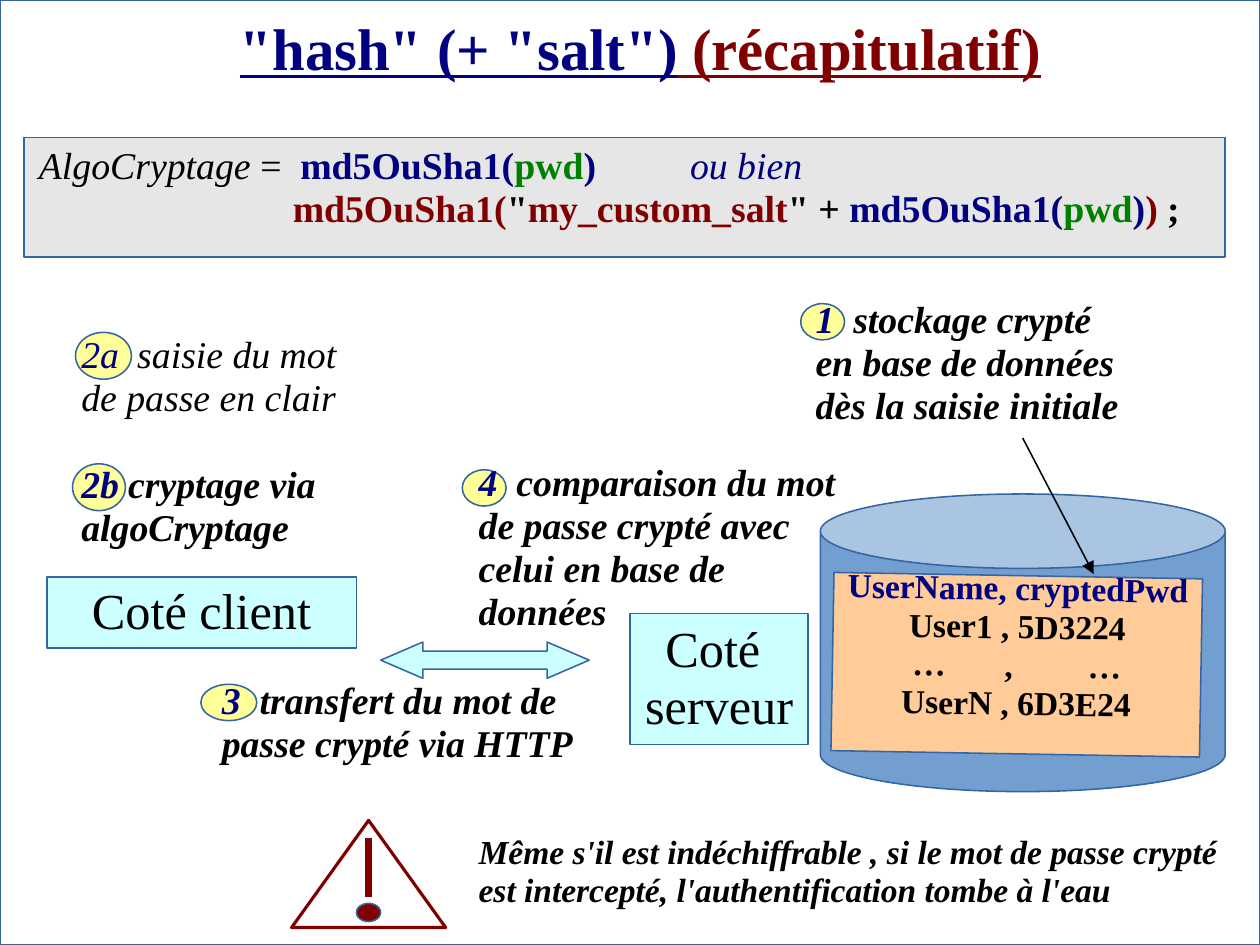
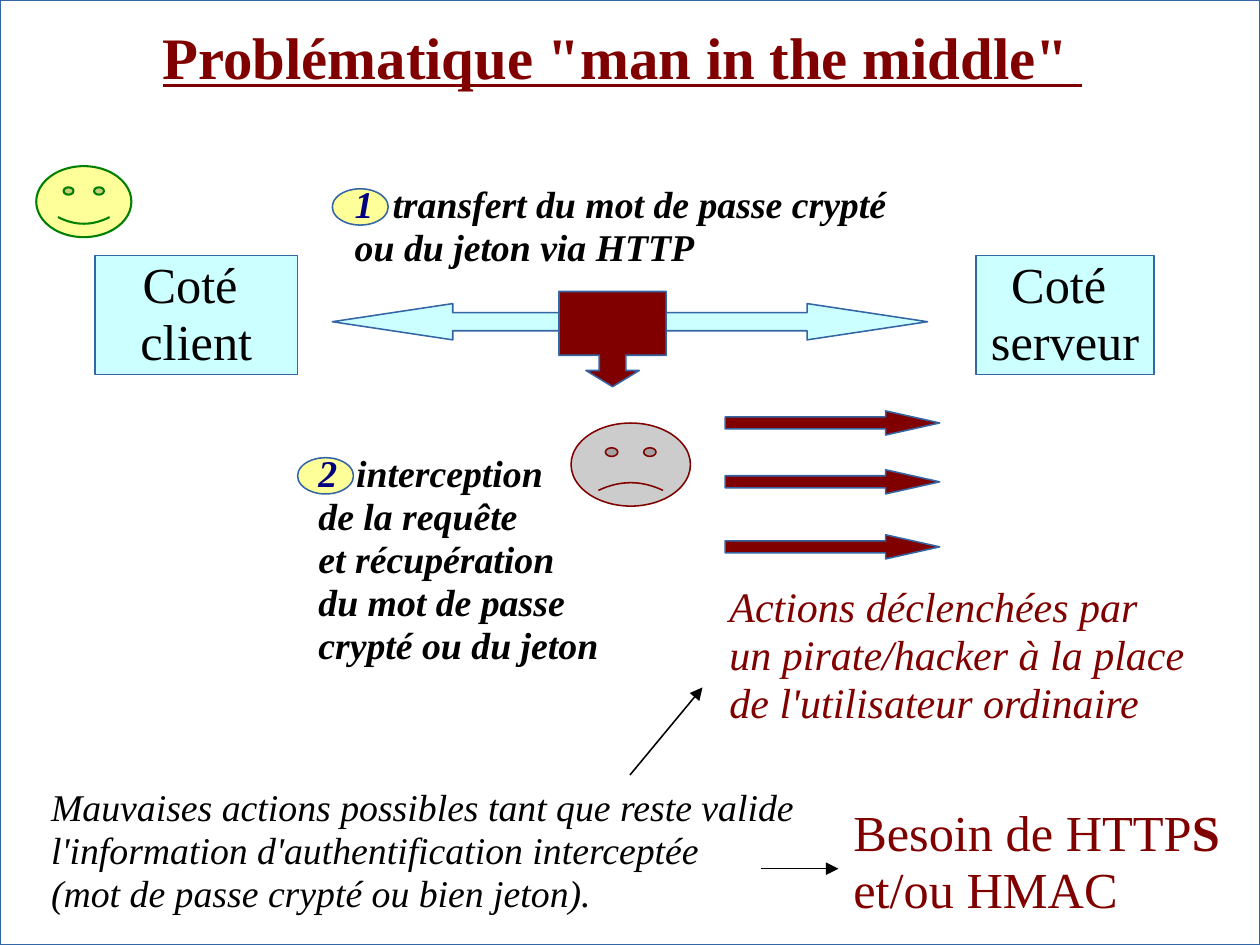
from lxml.etree import SubElement
from pptx import Presentation
from pptx.dml.color import RGBColor
from pptx.enum.shapes import MSO_CONNECTOR, MSO_SHAPE
from pptx.enum.text import MSO_ANCHOR, PP_ALIGN
from pptx.oxml.ns import qn
from pptx.util import Inches, Pt

# Shared look
FONT = "Times New Roman"
BLACK, NAVY, MAROON, GREEN = "000000", "000080", "800000", "008000"
OUTLINE, YELLOW, CYAN = "3465A4", "FFFF99", "CCFFFF"
WIDTH = 8.34
HEIGHT = WIDTH * 3 / 4


def add_figure(slide, preset, box, fill=None, line=OUTLINE, weight=0.75, adjustments=()):
    """Add a preset shape; box is left, top, width, height in inches."""
    shape = slide.shapes.add_shape(preset, *map(Inches, box))
    shape.shadow.inherit = False
    if fill:
        shape.fill.solid()
        shape.fill.fore_color.rgb = RGBColor.from_string(fill)
    else:
        shape.fill.background()
    shape.line.color.rgb = RGBColor.from_string(line)
    shape.line.width = Pt(weight)
    for index, value in enumerate(adjustments):
        shape.adjustments[index] = value
    return shape


def write_text(shape, lines, size=18, color=BLACK, bold=False, italic=False,
               underline=False, align=PP_ALIGN.LEFT, tabs=(), wrap=True):
    """Write one paragraph per line; a line is a string or a list of
    runs, and a run is a string or a pair of text and format changes."""
    frame = shape.text_frame
    frame.word_wrap = wrap
    for index, line in enumerate(lines):
        paragraph = frame.add_paragraph() if index else frame.paragraphs[0]
        paragraph.alignment = align
        paragraph.line_spacing = 0.95
        if tabs:
            tab_list = SubElement(paragraph._p.get_or_add_pPr(), qn("a:tabLst"))
            for position in tabs:
                SubElement(tab_list, qn("a:tab"), pos=str(Inches(position)), algn="l")
        for part in [line] if isinstance(line, str) else line:
            text, changes = (part, {}) if isinstance(part, str) else part
            run = paragraph.add_run()
            run.text = text
            run.font.name = FONT
            run.font.size = Pt(size)
            run.font.bold = changes.get("bold", bold)
            run.font.italic = changes.get("italic", italic)
            run.font.underline = underline
            run.font.color.rgb = RGBColor.from_string(changes.get("color", color))
    return frame


presentation = Presentation()
presentation.slide_width = Inches(WIDTH)
presentation.slide_height = Inches(HEIGHT)
blank_layout = presentation.slide_layouts[6]
hash_slide = presentation.slides.add_slide(blank_layout)
middle_slide = presentation.slides.add_slide(blank_layout)

# Titles
for slide, box, title in [
    (hash_slide, (1.49, 0.06, 5.8, 0.57),
     ['"hash" (+ "salt")', (" (récapitulatif)", {"color": MAROON})]),
    (middle_slide, (0.98, 0.12, 6.85, 0.57),
     [('Problématique "man in the middle" ', {"color": MAROON})]),
]:
    shape = slide.shapes.add_textbox(*map(Inches, box))
    write_text(shape, [title], size=28, color=NAVY, bold=True, underline=True)

# Database with its list of users
add_figure(hash_slide, MSO_SHAPE.CAN, (5.43, 3.27, 2.68, 1.97), "729FCF")
users = add_figure(hash_slide, MSO_SHAPE.RECTANGLE, (5.51, 3.81, 2.44, 1.18), "FFCC99")
users.rotation = 1
frame = write_text(
    users,
    [[("UserName, cryptedPwd", {"color": NAVY})], "User1 , 5D3224",
     "\t…\t,\t…", "UserN , 6D3E24"],
    size=16, bold=True, align=PP_ALIGN.CENTER, tabs=(0.48, 1.09, 1.64))
frame.paragraphs[2].alignment = PP_ALIGN.LEFT
frame.vertical_anchor = MSO_ANCHOR.MIDDLE
frame.margin_left = frame.margin_right = Inches(0.05)
frame.margin_top = 0
frame.margin_bottom = Inches(0.24)

# Hash formula
add_figure(hash_slide, MSO_SHAPE.RECTANGLE, (0.16, 0.91, 7.95, 0.79), "E6E6E6")
formula = hash_slide.shapes.add_textbox(Inches(0.16), Inches(0.91), Inches(8.03), Inches(0.68))
navy, maroon, green = {"color": NAVY}, {"color": MAROON}, {"color": GREEN}
frame = write_text(
    formula,
    [[("AlgoCryptage", {"bold": False, "italic": True}), (" =\t", {"bold": False}),
      ("md5OuSha1(", navy), ("pwd", green), (")\t", navy),
      ("ou bien", {"color": NAVY, "bold": False, "italic": True})],
     [("md5OuSha1(", maroon), '"', ("my_custom_salt", maroon), '" + ',
      ("md5OuSha1(", navy), ("pwd", green), (")", navy), (")", maroon), " ;"]],
    bold=True, tabs=(1.73, 4.31))
second_line = frame.paragraphs[1]._p.get_or_add_pPr()
second_line.set("marL", str(Inches(1.68)))
second_line.set("indent", "0")

# Numbered steps: badge, text box, number, gap to the text, bold, lines
for slide, badge, box, number, tab, bold, lines in [
    (hash_slide, (5.3, 2.01, 0.29, 0.24), (5.3, 1.93, 2.5, 0.97), "1", 0.25, True,
     ["stockage crypté", "en base de données", "dès la saisie initiale"]),
    (hash_slide, (0.5, 2.2, 0.37, 0.31), (0.44, 2.16, 2.2, 0.68), "2a", 0.37, False,
     ["saisie du mot", "de passe en clair"]),
    (hash_slide, (0.48, 3.07, 0.35, 0.31), (0.44, 3.02, 2.2, 0.68), "2b", 0.31, True,
     ["cryptage via", "algoCryptage"]),
    (hash_slide, (1.33, 4.53, 0.37, 0.24), (1.37, 4.45, 2.75, 0.68), "3", 0.25, True,
     ["transfert du mot de", "passe crypté via HTTP"]),
    (hash_slide, (3.06, 3.11, 0.29, 0.24), (3.07, 3.01, 2.75, 1.25), "4", 0.25, True,
     ["comparaison du mot", "de passe crypté avec", "celui en base de", "données"]),
    (middle_slide, (2.2, 1.25, 0.37, 0.24), (2.25, 1.17, 4, 0.68), "1", 0.25, True,
     ["transfert du mot de passe crypté", "ou du jeton via HTTP"]),
    (middle_slide, (1.97, 3.03, 0.37, 0.24), (2.01, 2.95, 2.3, 1.54), "2", 0.25, True,
     ["interception", "de la requête", "et récupération", "du mot de passe",
      "crypté ou du jeton"]),
]:
    add_figure(slide, MSO_SHAPE.OVAL, badge, YELLOW)
    shape = slide.shapes.add_textbox(*map(Inches, box))
    first_line = [(number + "\t", {"color": NAVY}), lines[0]]
    write_text(shape, [first_line, *lines[1:]], bold=bold, italic=True, tabs=(tab,))

# Client and server boxes
for slide, box, lines in [
    (hash_slide, (0.31, 3.82, 2.05, 0.47), ["Coté client"]),
    (hash_slide, (4.17, 4.06, 1.18, 0.87), ["Coté ", "serveur"]),
    (middle_slide, (0.63, 1.69, 1.34, 0.79), ["Coté ", "client"]),
    (middle_slide, (6.46, 1.69, 1.18, 0.79), ["Coté ", "serveur"]),
]:
    shape = add_figure(slide, MSO_SHAPE.RECTANGLE, box, CYAN)
    write_text(shape, lines, size=24, align=PP_ALIGN.CENTER, wrap=False)

# Exchanges and interception
add_figure(hash_slide, MSO_SHAPE.LEFT_RIGHT_ARROW, (2.52, 4.25, 1.38, 0.24), CYAN,
           adjustments=(0.5, 1.16))
add_figure(middle_slide, MSO_SHAPE.LEFT_RIGHT_ARROW, (2.2, 2.01, 3.94, 0.24), CYAN,
           adjustments=(0.5, 3.32))
add_figure(middle_slide, MSO_SHAPE.DOWN_ARROW_CALLOUT, (3.7, 1.93, 0.71, 0.63), MAROON,
           adjustments=(0.28, 0.28, 0.17, 0.67))
for top in (2.72, 3.11, 3.54):
    add_figure(middle_slide, MSO_SHAPE.RIGHT_ARROW, (4.8, top, 1.42, 0.16), MAROON,
               adjustments=(0.5, 2.24))

# Happy user and unhappy pirate
add_figure(middle_slide, MSO_SHAPE.SMILEY_FACE, (0.24, 1.1, 0.63, 0.47), YELLOW,
           line=GREEN, weight=1, adjustments=(0.09,))
add_figure(middle_slide, MSO_SHAPE.SMILEY_FACE, (3.78, 2.8, 0.79, 0.55), "CCCCCC",
           line=MAROON, adjustments=(-0.09,))

# Warning sign
add_figure(hash_slide, MSO_SHAPE.ISOSCELES_TRIANGLE, (1.93, 5.43, 1.02, 0.71),
           line=MAROON, weight=1.5)
add_figure(hash_slide, MSO_SHAPE.OVAL, (2.36, 5.98, 0.16, 0.12), MAROON)

# Remarks
for slide, box, lines, text_format in [
    (hash_slide, (3.07, 5.47, 5.25, 0.62),
     ["Même s'il est indéchiffrable , si le mot de passe crypté",
      "est intercepté, l'authentification tombe à l'eau"],
     {"size": 16, "bold": True, "italic": True}),
    (middle_slide, (4.73, 3.82, 3.4, 1.07),
     ["Actions déclenchées par", "un pirate/hacker à la place", "de l'utilisateur ordinaire"],
     {"size": 20, "color": MAROON, "italic": True}),
    (middle_slide, (0.24, 5.16, 5.3, 0.97),
     ["Mauvaises actions possibles tant que reste valide",
      "l'information d'authentification interceptée",
      "(mot de passe crypté ou bien jeton)."],
     {"italic": True}),
    (middle_slide, (5.55, 5.28, 2.75, 0.88),
     [["Besoin de HTTP", ("S", {"bold": True})], "et/ou HMAC"],
     {"size": 24, "color": MAROON}),
]:
    shape = slide.shapes.add_textbox(*map(Inches, box))
    write_text(shape, lines, **text_format)

# Lines and arrows
for slide, ends, color, weight, has_arrow in [
    (hash_slide, (6.77, 2.9, 7.24, 3.8), BLACK, 0.75, True),
    (hash_slide, (2.44, 5.55, 2.44, 5.94), MAROON, 3, False),
    (middle_slide, (4.17, 5.13, 4.65, 4.55), BLACK, 0.75, True),
    (middle_slide, (5.04, 5.75, 5.55, 5.75), BLACK, 0.75, True),
]:
    connector = slide.shapes.add_connector(MSO_CONNECTOR.STRAIGHT, *map(Inches, ends))
    connector.line.color.rgb = RGBColor.from_string(color)
    connector.line.width = Pt(weight)
    properties = connector._element.spPr
    if has_arrow:
        SubElement(properties.find(qn("a:ln")), qn("a:tailEnd"), type="triangle")
    SubElement(properties, qn("a:effectLst"))

# Slide frames
for slide in presentation.slides:
    add_figure(slide, MSO_SHAPE.RECTANGLE, (0, 0, WIDTH, HEIGHT))

presentation.save("out.pptx")
